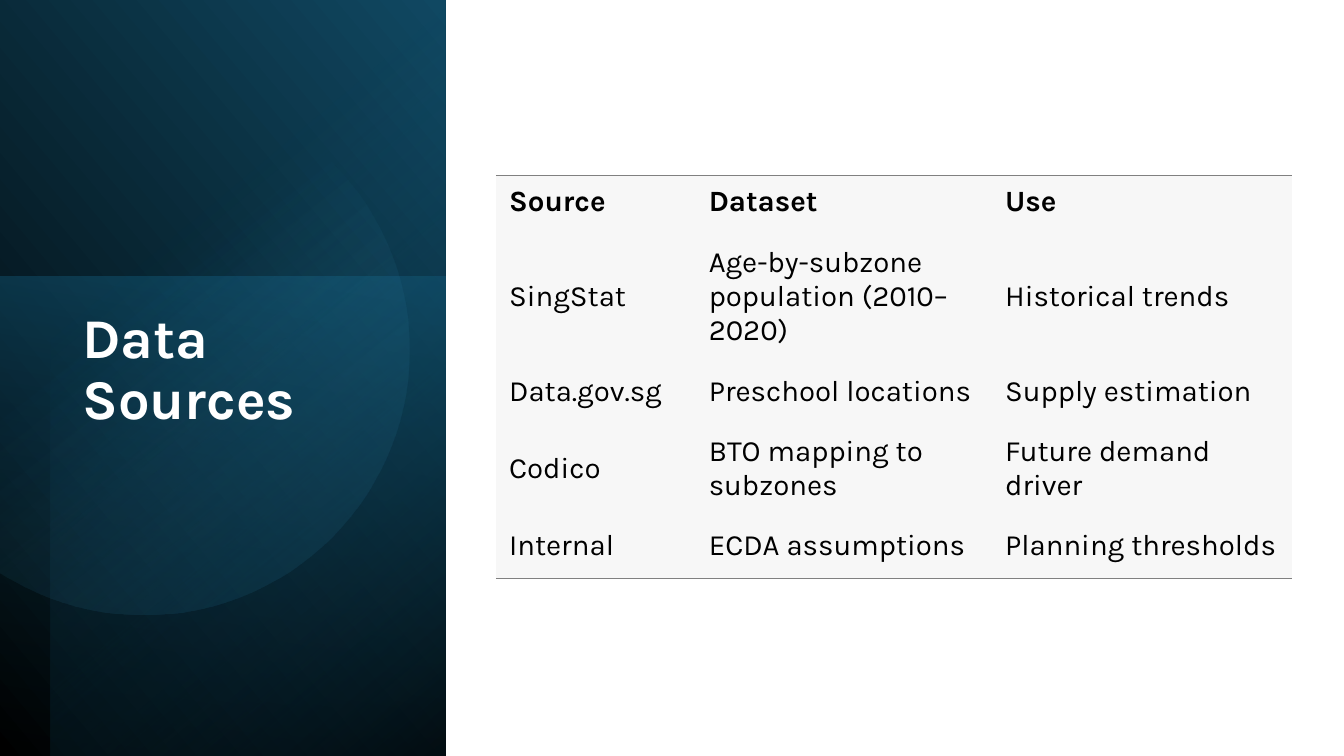
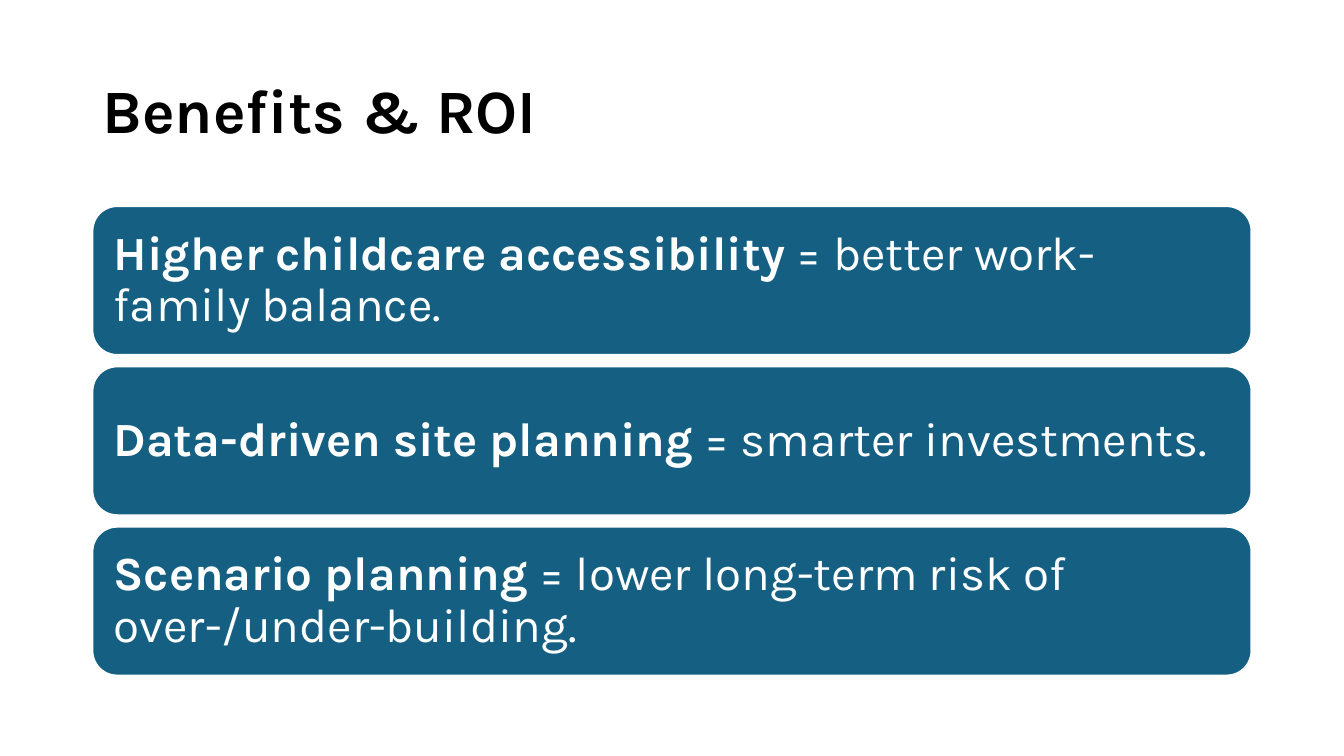
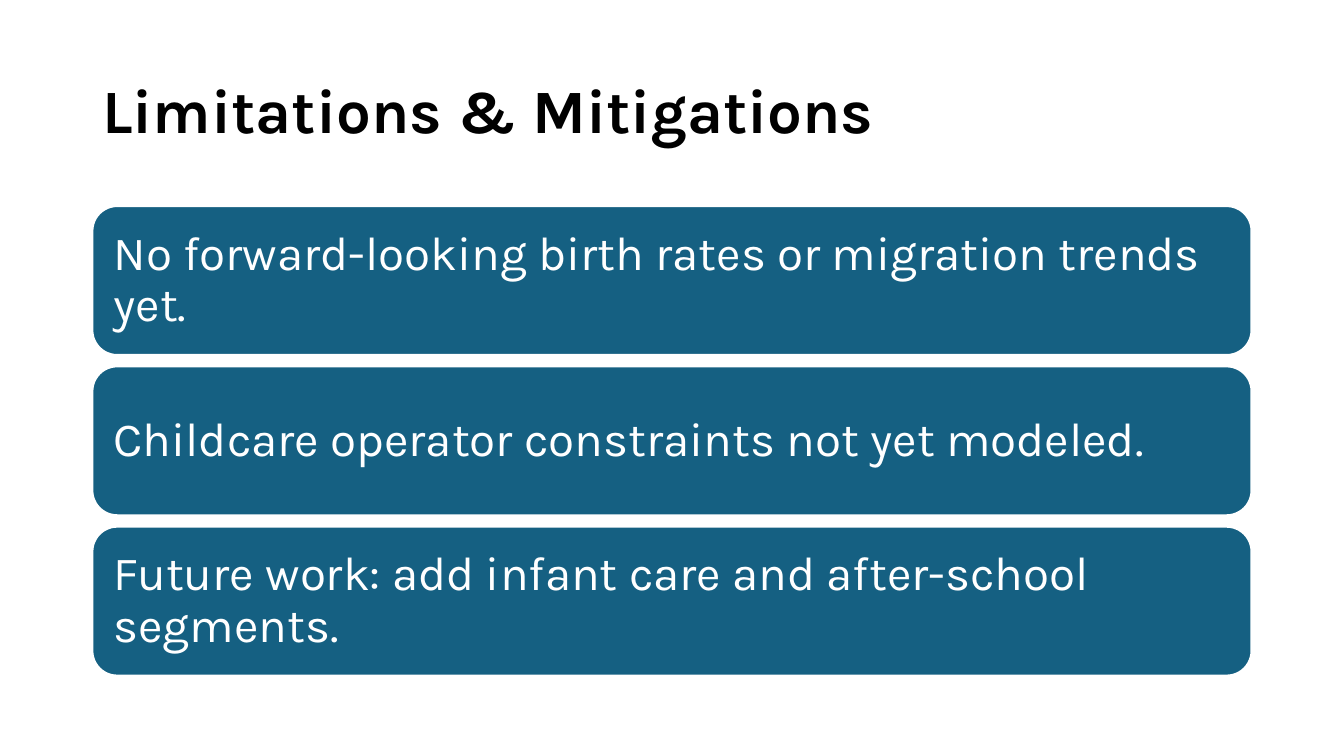
from math import cos, radians, sin

from lxml.etree import SubElement as Sub
from pptx import Presentation as Deck
from pptx.dml.color import RGBColor as Rgb
from pptx.enum.shapes import MSO_SHAPE as Form
from pptx.enum.text import MSO_ANCHOR as Anchor, PP_ALIGN as Align
from pptx.oxml.ns import qn
from pptx.util import Pt


def tint(code):
    return Rgb.from_string(code)


class Pen:
    """Holds the deck style and draws on the current slide."""

    font = "Karla"
    dark, light = "000000", "FFFFFF"
    blue, navy, sky, deep = "156082", "104862", "46B1E1", "0B3041"
    pale, rule = "F7F7F7", "808080"

    def __init__(self):
        self.deck = Deck()
        self.deck.slide_width, self.deck.slide_height = Pt(960), Pt(540)

    def page(self):
        self.shapes = self.deck.slides.add_slide(self.deck.slide_layouts[6]).shapes

    def words(self, para, runs, size, color, lead=0.9):
        para.alignment = Align.LEFT
        para.line_spacing = lead
        for text, bold in runs:
            run = para.add_run()
            run.text = text
            font = run.font
            font.name, font.size, font.bold = self.font, Pt(size), bold
            font.color.rgb = tint(color)

    def title(self, text, box=(66, 28.8, 828, 104.4), size=44, color=dark, anchor=Anchor.MIDDLE):
        frame = self.shapes.add_textbox(*map(Pt, box)).text_frame
        frame.word_wrap = True
        frame.vertical_anchor = anchor
        self.words(frame.paragraphs[0], [(text, True)], size, color)

    def fade(self, shape, angle, stops):
        shape.shadow.inherit = False
        shape.line.fill.background()
        shape.fill.gradient()
        shape.fill.gradient_angle = 360 - angle
        marks = shape._element.spPr.iter(qn("a:gs"))
        for stop, mark, (place, color, alpha) in zip(shape.fill.gradient_stops, marks, stops):
            stop.position = place / 100
            stop.color.rgb = tint(color)
            if alpha < 100:
                Sub(mark[0], qn("a:alpha")).set("val", str(alpha * 1000))

    def panel(self, box, turn, angle, stops, flip=False):
        shape = self.shapes.add_shape(Form.RECTANGLE, *map(Pt, box))
        shape.rotation = turn
        if flip:
            shape._element.spPr.xfrm.set("flipH", "1")
        self.fade(shape, angle, stops)

    def disc(self, mid_x, mid_y, size, half, angle, stops):
        turns = [radians(step) for step in range(-half, half + 1, 3)]
        dots = [(Pt(mid_x + size * cos(turn)), Pt(mid_y + size * sin(turn))) for turn in turns]
        shape = self.shapes.build_freeform(*dots[0])
        shape.add_line_segments(dots[1:], close=True)
        self.fade(shape.convert_to_shape(), angle, stops)

    def cards(self, items, top=147.2, high=106.4, step=114.5):
        for row, runs in enumerate(items):
            card = self.shapes.add_shape(
                Form.ROUNDED_RECTANGLE, Pt(66), Pt(top + row * step), Pt(828), Pt(high))
            card.shadow.inherit = False
            card.fill.solid()
            card.fill.fore_color.rgb = tint(self.blue)
            card.line.color.rgb = tint(self.light)
            card.line.width = Pt(1.5)
            frame = card.text_frame
            frame.word_wrap = True
            frame.vertical_anchor = Anchor.MIDDLE
            frame.margin_left = frame.margin_right = Pt(10)
            frame.margin_top = frame.margin_bottom = Pt(10)
            self.words(frame.paragraphs[0], runs, 34, self.light)

    def edge(self, cell, side, shown):
        line = Sub(cell._tc.get_or_add_tcPr(), qn("a:ln" + side))
        if shown:
            line.set("w", str(Pt(1)))
            fill = Sub(line, qn("a:solidFill"))
            Sub(fill, qn("a:srgbClr")).set("val", self.rule)
        else:
            Sub(line, qn("a:noFill"))

    def grid(self, left, top, wide, high, rows):
        table = self.shapes.add_table(
            len(rows), len(wide), Pt(left), Pt(top), Pt(sum(wide)), Pt(sum(high))).table
        table.first_row = table.horz_banding = False
        for col, size in zip(table.columns, wide):
            col.width = Pt(size)
        for row, size in zip(table.rows, high):
            row.height = Pt(size)
        last = len(rows) - 1
        for y, texts in enumerate(rows):
            for x, text in enumerate(texts):
                cell = table.cell(y, x)
                for side in "LRTB":
                    self.edge(cell, side, (side, y) in (("T", 0), ("B", last)))
                cell.fill.solid()
                cell.fill.fore_color.rgb = tint(self.pale)
                cell.vertical_anchor = Anchor.MIDDLE
                cell.margin_left = cell.margin_right = cell.margin_bottom = Pt(9.5)
                cell.margin_top = Pt(5)
                self.words(cell.text_frame.paragraphs[0], [(text, y == 0)], 21, self.dark, 1.0)


def main():
    pen = Pen()

    pen.page()
    pen.panel((-111.6, 111.6, 541.4, 318.2), 90, 310,
              [(0, pen.dark, 100), (100, pen.navy, 100)], flip=True)
    pen.panel((-12.2, 209.5, 342.7, 318.2), 270, 190,
              [(0, pen.blue, 50), (100, pen.deep, 0)])
    pen.panel((-92.9, 128.9, 540, 282.2), 270, 220,
              [(0, pen.dark, 59), (69, pen.blue, 0)], flip=True)
    pen.disc(103, 249.8, 189.4, 123, 52, [(39, pen.sky, 0), (100, pen.navy, 26)])
    pen.title("Data Sources", (51.8, 218.2, 226.8, 241.9), 40, pen.light, Anchor.TOP)
    pen.grid(354.2, 125.3, (142.6, 211.7, 214.6), (42.5, 92.9, 42.5, 67.7, 42.5), [
        ("Source", "Dataset", "Use"),
        ("SingStat", "Age-by-subzone population (2010–2020)", "Historical trends"),
        ("Data.gov.sg", "Preschool locations", "Supply estimation"),
        ("Codico", "BTO mapping to subzones", "Future demand driver"),
        ("Internal", "ECDA assumptions", "Planning thresholds"),
    ])

    pen.page()
    pen.title("Benefits & ROI")
    pen.cards([
        [("Higher childcare accessibility", True), (" = better work-family balance.", False)],
        [("Data-driven site planning", True), (" = smarter investments.", False)],
        [("Scenario planning", True),
         (" = lower long-term risk of over-/under-building.", False)],
    ])

    pen.page()
    pen.title("Limitations & Mitigations")
    pen.cards([
        [("No forward-looking birth rates or migration trends yet.", False)],
        [("Childcare operator constraints not yet modeled.", False)],
        [("Future work: add infant care and after-school segments.", False)],
    ])

    pen.deck.save("out.pptx")


if __name__ == "__main__":
    main()
